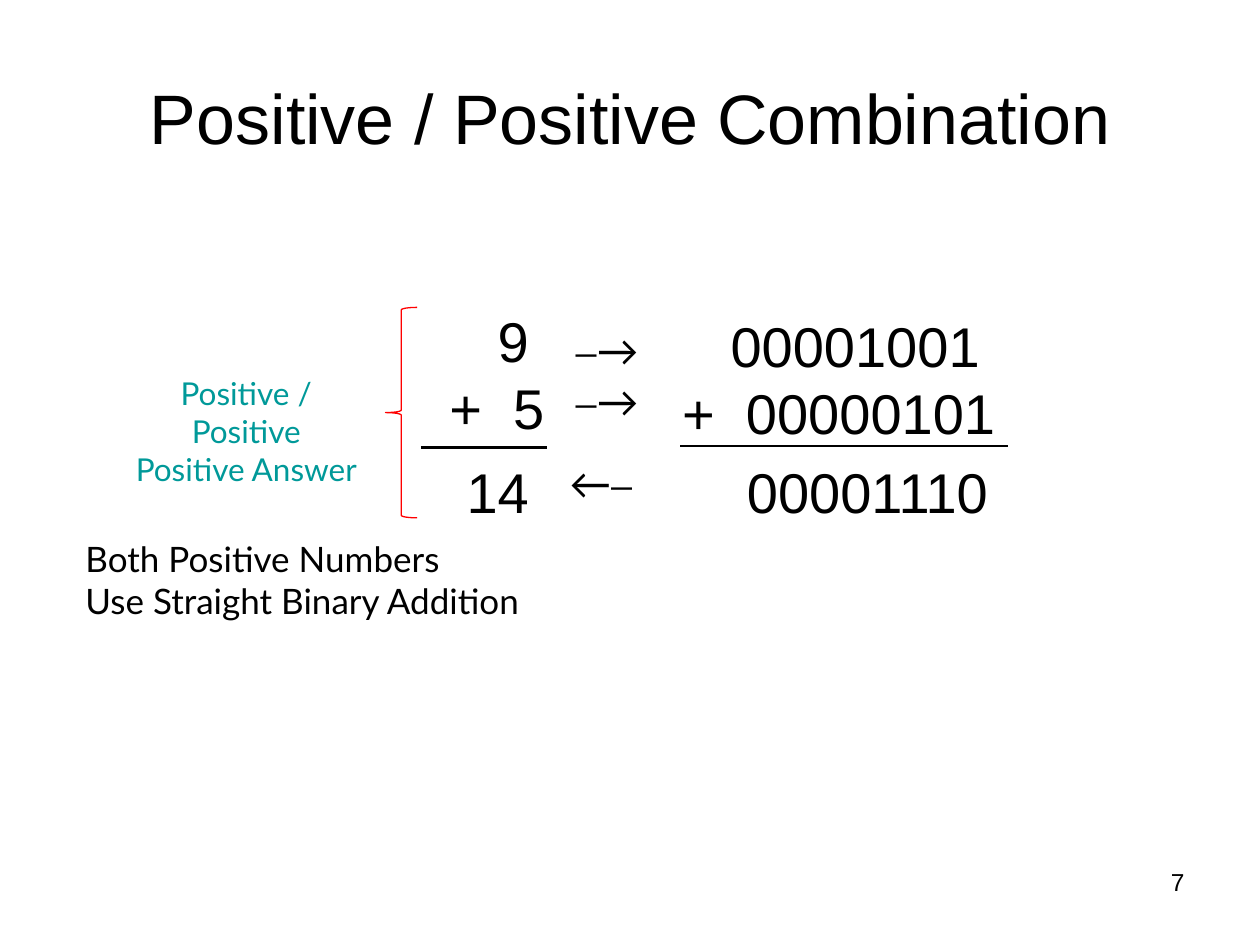
from lxml import etree
from pptx import Presentation
from pptx.dml.color import RGBColor
from pptx.enum.shapes import MSO_CONNECTOR, MSO_SHAPE
from pptx.enum.text import MSO_ANCHOR, PP_ALIGN
from pptx.oxml.ns import qn
from pptx.util import Inches, Pt

LEFT, CENTER, RIGHT = PP_ALIGN.LEFT, PP_ALIGN.CENTER, PP_ALIGN.RIGHT
TOP, MIDDLE = MSO_ANCHOR.TOP, MSO_ANCHOR.MIDDLE

THEME = {
    "black": RGBColor(0x00, 0x00, 0x00),
    "teal": RGBColor(0x00, 0x99, 0x99),
    "red": RGBColor(0xFF, 0x00, 0x00),
    # style: font, size, colour
    "number": ("Arial", 14, "black"),
    "title": ("Arial", 40, "black"),
    "digits": ("Arial", 32, "black"),
    "rule": ("Lato", 20, "black"),
    "arrow": ("Lato", 24, "black"),
    "label": ("Lato", 18, "teal"),
    "sum_line": 1.5,
    "brace_line": 0.75,
}

# Lines of text, style, alignment, (left, top, width, height)
TEXTS = [
    (["7"], "number", RIGHT, (7.17, 6.83, 2.33, 0.52)),
    (["Positive / Positive Combination"], "title", CENTER, (0.5, 0.3, 9, 1.25)),
    (["Both Positive Numbers", "Use Straight Binary Addition"],
     "rule", LEFT, (0.58, 4.22, 3.66, 0.77)),
    (["00001001 ", "+  00000101"], "digits", RIGHT, (5.17, 2.42, 2.83, 1.17)),
    (["9 ", "+  5 ", "14 "], "digits", RIGHT, (3.35, 2.38, 1.07, 1.83)),
    (["⎯→", "⎯→"], "arrow", LEFT, (4.47, 2.53, 0.86, 0.9)),
    (["←⎯"], "arrow", LEFT, (4.42, 3.58, 0.86, 0.5)),
    (["00001110"], "digits", LEFT, (5.83, 3.58, 2.17, 0.63)),
    (["Positive / Positive", "Positive Answer"],
     "label", CENTER, (0.89, 2.92, 2.13, 0.7)),
]
LINE_SPACING = {"14 ": 1.25}
SUM_LINES = [(5.4, 8, 3.54), (3.34, 4.34, 3.55)]  # start x, end x, y
BRACE = (3.06, 2.44, 0.25, 1.67)


def add_text(slide, lines, style, align, box):
    font_name, size, color = THEME[style]
    frame = slide.shapes.add_textbox(*map(Inches, box)).text_frame
    frame.word_wrap = True
    frame.vertical_anchor = MIDDLE if style == "title" else TOP
    for index, line in enumerate(lines):
        paragraph = frame.add_paragraph() if index else frame.paragraphs[0]
        paragraph.alignment = align
        if line in LINE_SPACING:
            paragraph.line_spacing = LINE_SPACING[line]
        run = paragraph.add_run()
        run.text = line
        run.font.name = font_name
        run.font.size = Pt(size)
        run.font.color.rgb = THEME[color]


def add_sum_line(slide, start, end, y):
    sum_line = slide.shapes.add_connector(
        MSO_CONNECTOR.STRAIGHT, Inches(start), Inches(y), Inches(end), Inches(y))
    sum_line.line.color.rgb = THEME["black"]
    sum_line.line.width = Pt(THEME["sum_line"])
    etree.SubElement(sum_line._element.spPr, qn("a:effectLst"))


def add_brace(slide):
    brace = slide.shapes.add_shape(MSO_SHAPE.LEFT_BRACE, *map(Inches, BRACE))
    brace.adjustments[0] = 0.08
    brace.adjustments[1] = 0.5
    brace.shadow.inherit = False
    brace.fill.background()
    brace.line.color.rgb = THEME["red"]
    brace.line.width = Pt(THEME["brace_line"])


def main():
    deck = Presentation()
    deck.slide_width, deck.slide_height = Inches(10), Inches(7.5)
    slide = deck.slides.add_slide(deck.slide_layouts[6])

    # Title, page number, sums and notes
    for text in TEXTS:
        add_text(slide, *text)

    # Lines under the addends
    for sum_line in SUM_LINES:
        add_sum_line(slide, *sum_line)

    # Brace that joins the label to the decimal sum
    add_brace(slide)
    deck.save("out.pptx")


if __name__ == "__main__":
    main()
